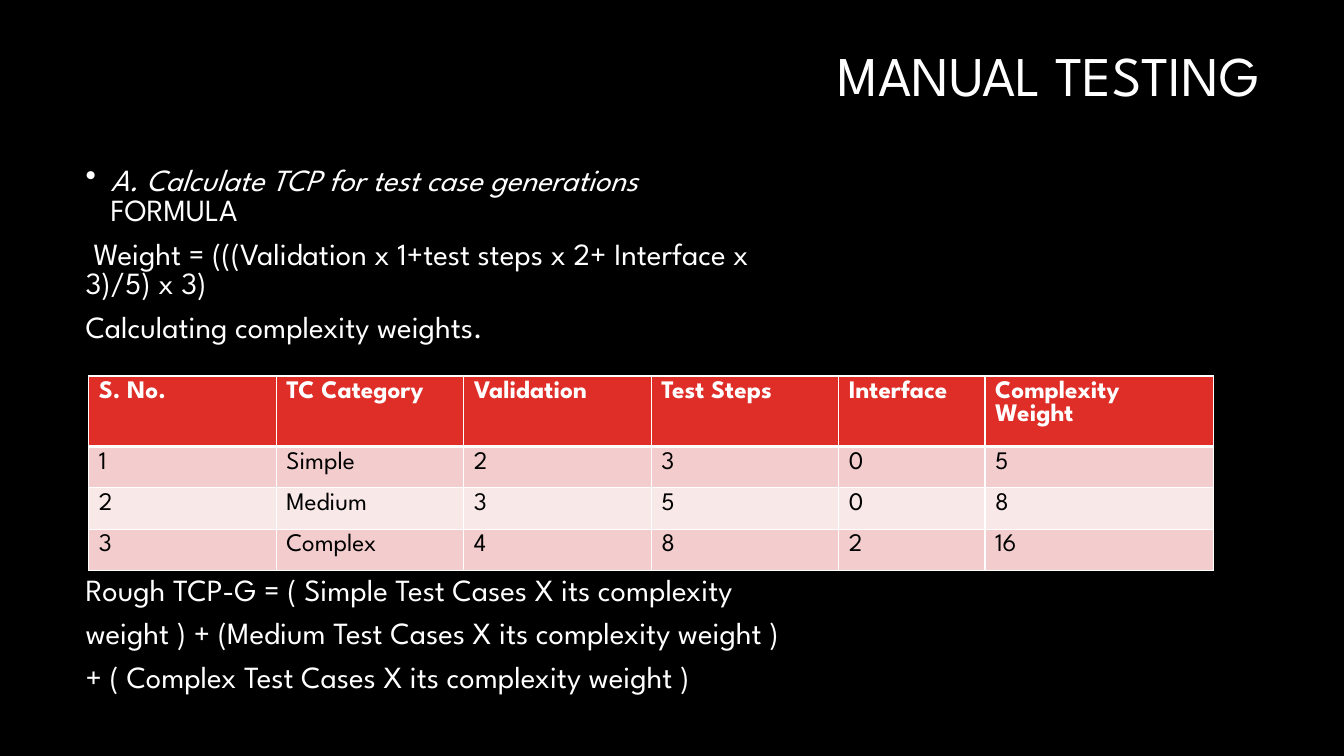
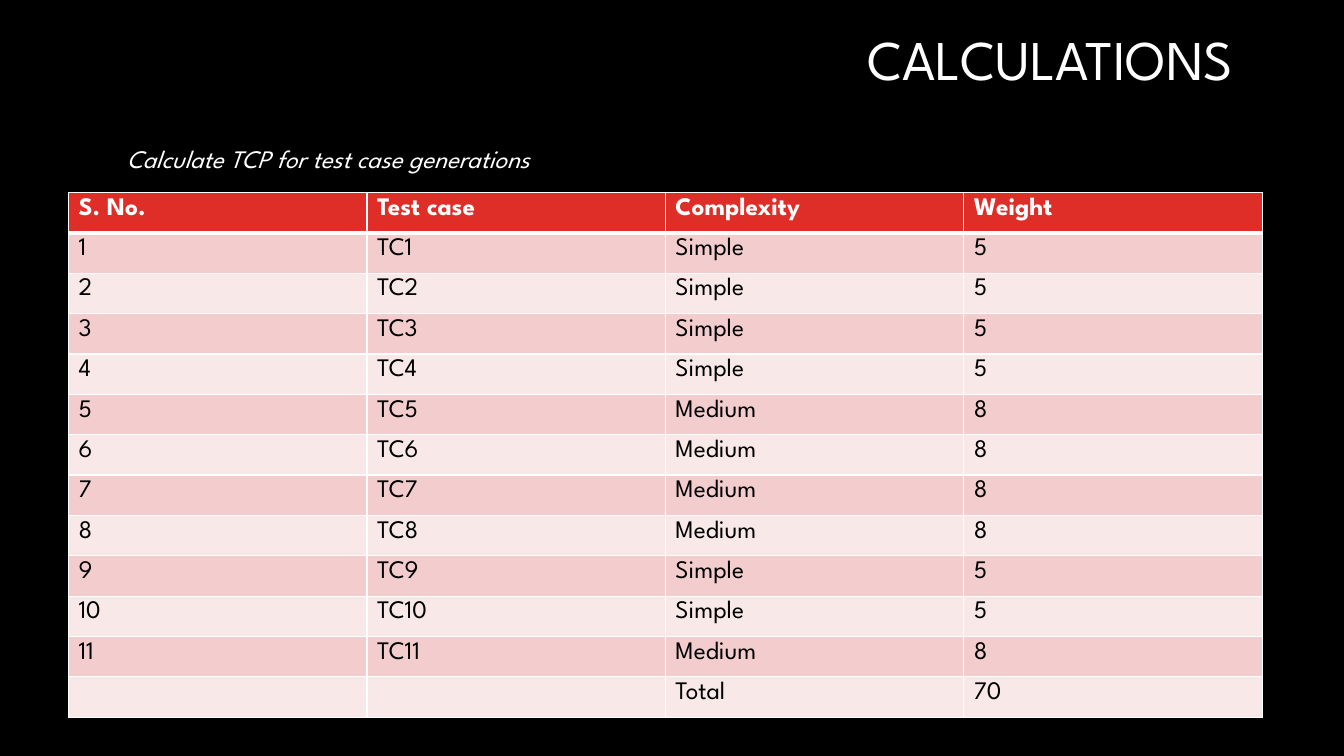
from lxml import etree
from pptx import Presentation
from pptx.dml.color import RGBColor
from pptx.enum import text as t
from pptx.oxml import ns
from pptx.util import Inches, Pt

FONT = "League Spartan"
BLACK, WHITE, RED = "000000", "FFFFFF", "DF2E28"
BANDS = ["F3CDCD", "F9E8E8"]
TITLE = {"size": Pt(40)}
BODY = {"size": Pt(22)}
NOTE = {"size": Pt(18), "italic": True}
HEAD = {"size": Pt(18), "bold": True}
CELL = {"size": Pt(18), "bold": False}


def color(code):
    return RGBColor.from_string(code)


def style(font, look, code=WHITE):
    font.name = FONT
    font.color.rgb = color(code)
    for name, value in look.items():
        setattr(font, name, value)


def add_box(slide, left, top, width, height):
    frame = slide.shapes.add_textbox(*map(Inches, (left, top, width, height))).text_frame
    frame.word_wrap = True
    return frame


def add_title(slide, words, left, top, height):
    frame = add_box(slide, left, top, 9.42, height)
    frame.vertical_anchor = t.MSO_ANCHOR.MIDDLE
    par = frame.paragraphs[0]
    par.alignment = t.PP_ALIGN.RIGHT
    par.line_spacing = 0.9
    par.text = words
    style(par.font, TITLE)


def add_body(slide, lines, top, height):
    """Write one paragraph per line and return them."""
    frame = add_box(slide, 0.75, top, 11.83, height)
    for i, line in enumerate(lines):
        par = frame.add_paragraph() if i else frame.paragraphs[0]
        par.text = line
        par.line_spacing = 0.8
        par.space_before = Pt(10 if i else 0)
        style(par.font, BODY)
    return frame.paragraphs


def indent(par, first, left=0):
    props = par._p.get_or_add_pPr()
    props.set("marL", str(Inches(left)))
    props.set("indent", str(Inches(first)))
    return props


def add_bullet(par):
    props = indent(par, -0.25, 0.25)
    mark = etree.Element(ns.qn("a:buChar"), char="•")
    props.find(ns.qn("a:defRPr")).addprevious(mark)


def set_edges(cell, top, bottom):
    """Draw white borders; top and bottom are widths in points."""
    props = cell._tc.get_or_add_tcPr()
    edges = {"L": 1, "R": 1, "T": top, "B": bottom}
    for i, (side, width) in enumerate(edges.items()):
        line = etree.Element(ns.qn(f"a:ln{side}"), w=str(Pt(width)))
        fill = etree.SubElement(line, ns.qn("a:solidFill"))
        etree.SubElement(fill, ns.qn("a:srgbClr"), val=WHITE)
        props.insert(i, line)


def add_grid(slide, rows, left, top, widths, heights):
    size = map(Inches, (left, top, sum(widths), sum(heights)))
    table = slide.shapes.add_table(len(rows), len(widths), *size).table
    for col, width in zip(table.columns, widths):
        col.width = Inches(width)
    for r, row in enumerate(rows):
        table.rows[r].height = Inches(heights[r])
        for c, value in enumerate(row):
            cell = table.cell(r, c)
            cell.text = str(value)
            cell.fill.solid()
            cell.fill.fore_color.rgb = color(BANDS[(r - 1) % 2] if r else RED)
            style(cell.text_frame.paragraphs[0].font,
                  CELL if r else HEAD, BLACK if r else WHITE)
            set_edges(cell, 3 if r == 1 else 1, 1 if r else 3)


def manual(slide):
    add_title(slide, "MANUAL TESTING", 3.17, 0.31, 0.93)
    goal, weight, _ = add_body(slide, [
        "A. Calculate TCP for test case generations\vFORMULA",
        "Weight = (((Validation x 1+test steps x 2+ Interface x\v3)/5) x 3)",
        "Calculating complexity weights.",
    ], 1.62, 1.9)
    add_bullet(goal)
    goal.runs[0].font.italic = True
    indent(weight, 0.08)
    rows = [
        ["S. No.", "TC Category", "Validation", "Test Steps", "Interface", "Complexity Weight"],
        [1, "Simple", 2, 3, 0, 5],
        [2, "Medium", 3, 5, 0, 8],
        [3, "Complex", 4, 8, 2, 16],
    ]
    add_grid(slide, rows, 0.88, 3.73, [1.86] * 4 + [1.45, 2.27], [0.56] + [0.41] * 3)
    add_body(slide, [
        "Rough TCP-G = ( Simple Test Cases X its complexity",
        "weight ) + (Medium Test Cases X its complexity weight )",
        "+ ( Complex Test Cases X its complexity weight )",
    ], 5.68, 1.43)


def totals(slide):
    add_title(slide, "CALCULATIONS", 2.91, 0.22, 0.8)
    weights = {"Simple": 5, "Medium": 8}
    kinds = ["Simple"] * 4 + ["Medium"] * 4 + ["Simple"] * 2 + ["Medium"]
    rows = [["S. No.", "Test case", "Complexity", "Weight"]]
    rows += [[i, f"TC{i}", kind, weights[kind]] for i, kind in enumerate(kinds, 1)]
    rows.append(["", "", "Total", sum(weights[kind] for kind in kinds)])
    add_grid(slide, rows, 0.68, 1.91, [2.96] * 4, [5 / len(rows)] * len(rows))
    par = add_box(slide, 1.16, 1.37, 5.04, 0.4).paragraphs[0]
    par.text = "Calculate TCP for test case generations"
    style(par.font, NOTE)


def main():
    deck = Presentation()
    deck.slide_width, deck.slide_height = Inches(13.33), Inches(7.5)
    back = deck.slide_master.background.fill
    back.solid()
    back.fore_color.rgb = color(BLACK)
    for build in (manual, totals):
        build(deck.slides.add_slide(deck.slide_layouts[6]))
    deck.save("out.pptx")


if __name__ == "__main__":
    main()
